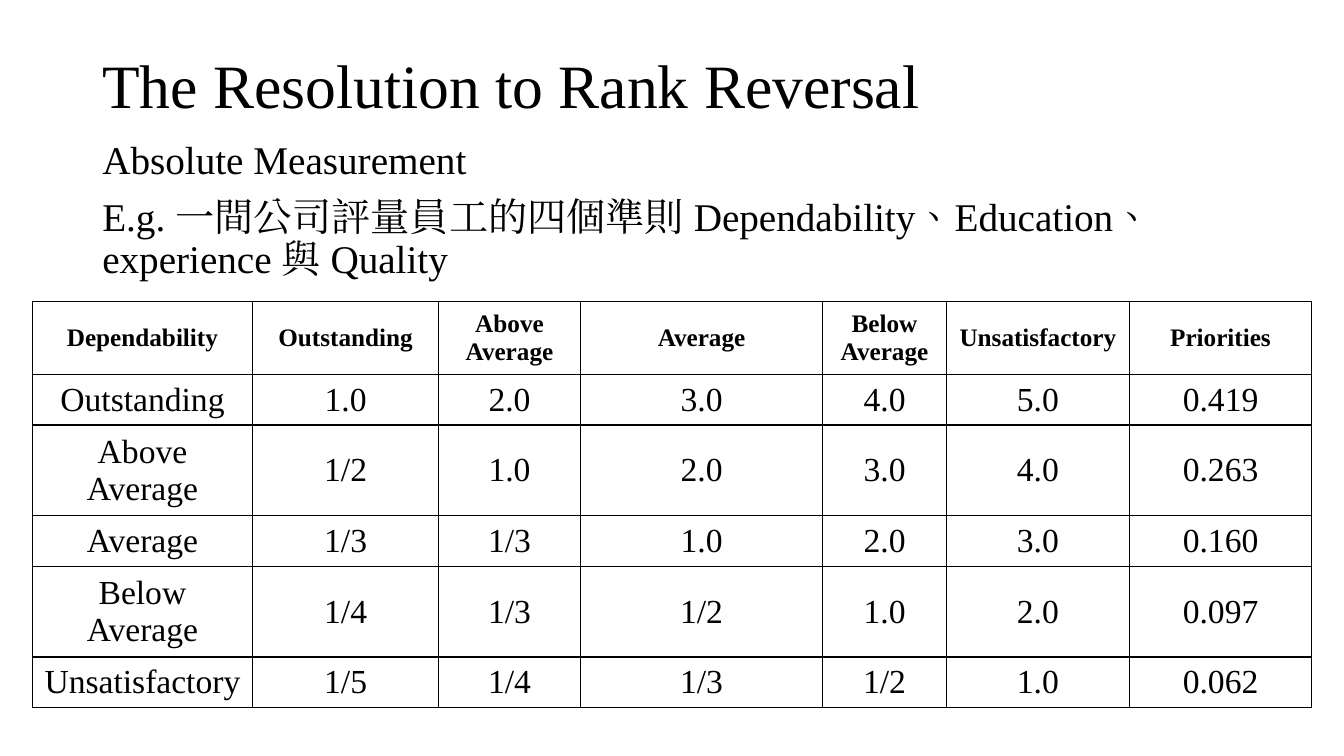
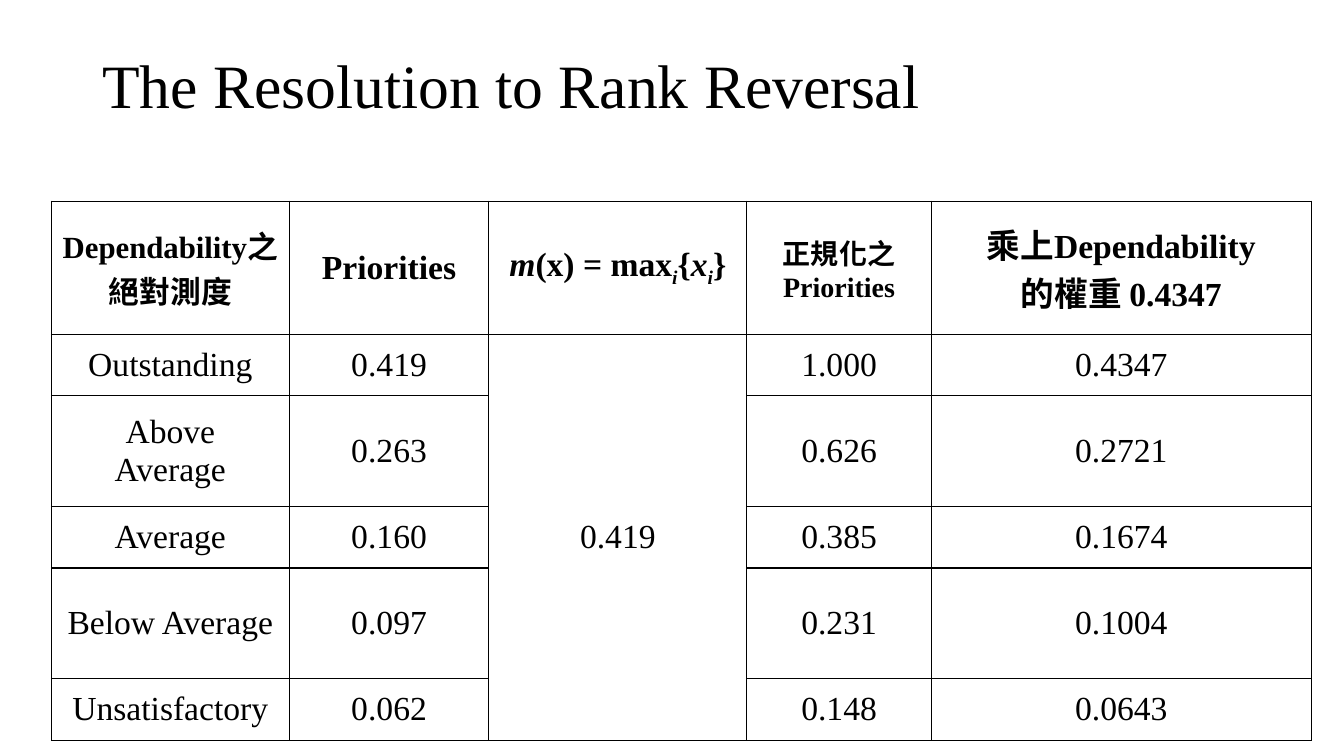
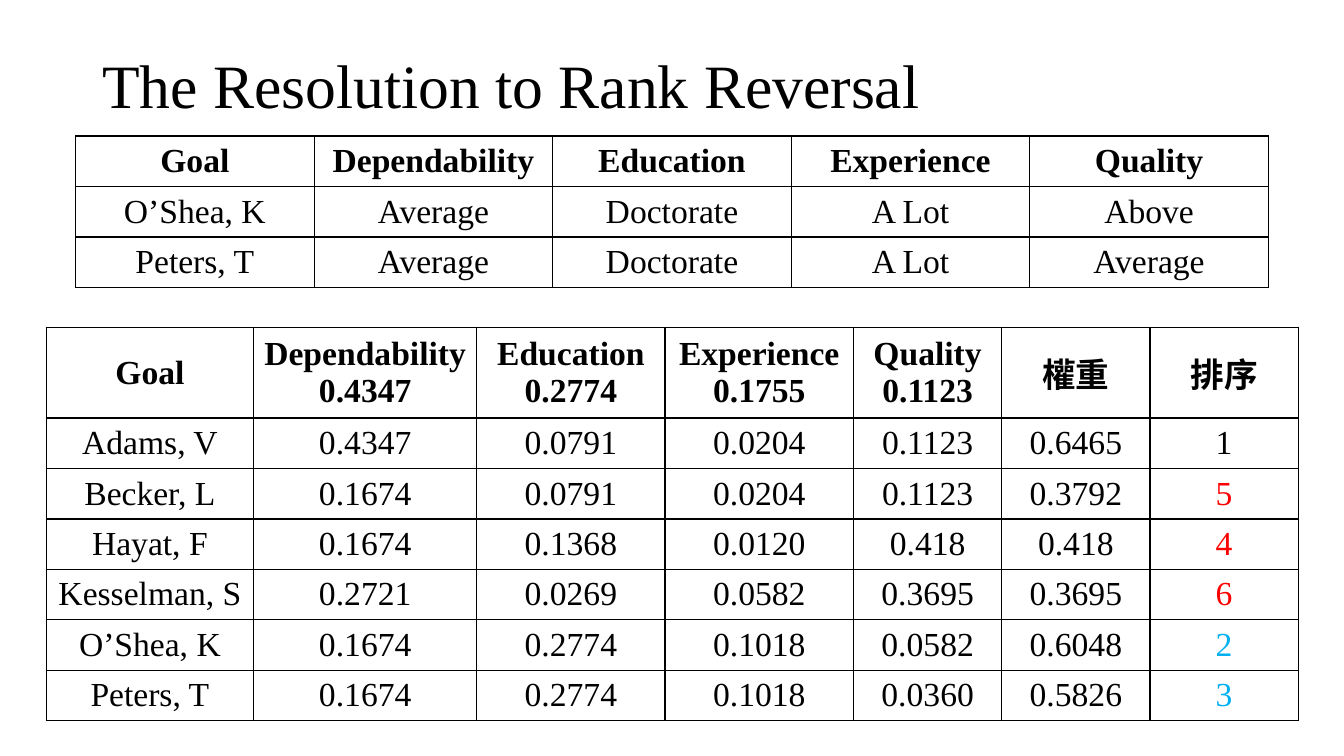
from dataclasses import dataclass, field

from lxml import etree
from pptx import Presentation
from pptx.dml.color import RGBColor
from pptx.enum import text
from pptx.oxml.ns import qn
from pptx.util import Pt

BLACK = RGBColor(0x00, 0x00, 0x00)
WHITE = RGBColor(0xFF, 0xFF, 0xFF)
RED = RGBColor(0xFF, 0x00, 0x00)
BLUE = RGBColor(0x00, 0xB0, 0xF0)
LATIN = "Times New Roman"
HAN = "Noto Sans CJK SC"
TITLE = "The Resolution to Rank Reversal"


@dataclass
class Span:
    text: str
    italic: bool = False
    baseline: int = 0


Content = str | list[Span]


@dataclass
class Grid:
    """A table: the first row is its header, sizes are in points."""
    left: float
    top: float
    cols: list[float]
    heights: list[float]
    rows: list[list[Content]]
    header_sizes: list[float]
    merges: list[tuple[int, int, int, int]] = field(default_factory=list)
    colors: dict[tuple[int, int], RGBColor] = field(default_factory=dict)


def write(tf, content: Content, *, size: float, bold: bool = False,
          color: RGBColor = BLACK, align=text.PP_ALIGN.LEFT,
          line: float | None = None, before: float = 0, han: str = HAN) -> None:
    """Fill a text frame; each line of a string becomes a paragraph."""
    paragraphs = ([[Span(s)] for s in content.split("\n")]
                  if isinstance(content, str) else [content])
    for i, spans in enumerate(paragraphs):
        p = tf.add_paragraph() if i else tf.paragraphs[0]
        p.alignment = align
        if line:
            p.line_spacing = line
        if i and before:
            p.space_before = Pt(before)
        for span in spans:
            r = p.add_run()
            r.text = span.text
            r.font.size, r.font.name = Pt(size), LATIN
            r.font.bold, r.font.italic = bold, span.italic
            r.font.color.rgb = color
            props = r.font._element
            props.set("lang", "zh-TW")
            if span.baseline:
                props.set("baseline", str(span.baseline * 1000))
            etree.SubElement(props, qn("a:ea"), typeface=han)


def add_text(slide, box: tuple[float, float, float, float], content: str,
             anchor=text.MSO_ANCHOR.TOP, **fmt) -> None:
    tf = slide.shapes.add_textbox(*map(Pt, box)).text_frame
    tf.word_wrap = True
    tf.vertical_anchor = anchor
    write(tf, content, **fmt)


def add_borders(cell, width: float = 1) -> None:
    props = cell._tc.get_or_add_tcPr()
    for i, tag in enumerate(("a:lnL", "a:lnR", "a:lnT", "a:lnB")):
        ln = etree.Element(qn(tag), w=str(Pt(width)))
        fill = etree.SubElement(ln, qn("a:solidFill"))
        etree.SubElement(fill, qn("a:srgbClr"), val=str(BLACK))
        props.insert(i, ln)


def add_grid(slide, grid: Grid) -> None:
    frame = slide.shapes.add_table(
        len(grid.rows), len(grid.cols), Pt(grid.left), Pt(grid.top),
        Pt(sum(grid.cols)), Pt(sum(grid.heights)))
    table = frame.table
    table.first_row = table.horz_banding = False
    for col, width in zip(table.columns, grid.cols):
        col.width = Pt(width)
    for row, height in zip(table.rows, grid.heights):
        row.height = Pt(height)
    for i, row in enumerate(grid.rows):
        for j, content in enumerate(row):
            cell = table.cell(i, j)
            cell.vertical_anchor = text.MSO_ANCHOR.MIDDLE
            cell.fill.solid()
            cell.fill.fore_color.rgb = WHITE
            add_borders(cell)
            if content:
                write(cell.text_frame, content,
                      size=24 if i else grid.header_sizes[j], bold=i == 0,
                      color=grid.colors.get((i, j), BLACK),
                      align=text.PP_ALIGN.CENTER)
    for top, left, bottom, right in grid.merges:
        table.cell(top, left).merge(table.cell(bottom, right))


def add_slide(prs, *grids: Grid):
    slide = prs.slides.add_slide(prs.slide_layouts[6])
    add_text(slide, (66, 28.8, 828, 68.4), TITLE, text.MSO_ANCHOR.MIDDLE,
             size=44, line=0.9)
    for grid in grids:
        add_grid(slide, grid)
    return slide


COMPARISON = Grid(
    23, 215.3, [157.6, 132.6, 101.6, 172.8, 88.6, 130.5, 130.5],
    [52.3, 34, 60, 34, 60, 34],
    [
        ["Dependability", "Outstanding", "Above\nAverage", "Average",
         "Below\nAverage", "Unsatisfactory", "Priorities"],
        ["Outstanding", "1.0", "2.0", "3.0", "4.0", "5.0", "0.419"],
        ["Above\nAverage", "1/2", "1.0", "2.0", "3.0", "4.0", "0.263"],
        ["Average", "1/3", "1/3", "1.0", "2.0", "3.0", "0.160"],
        ["Below Average", "1/4", "1/3", "1/2", "1.0", "2.0", "0.097"],
        ["Unsatisfactory", "1/5", "1/4", "1/3", "1/2", "1.0", "0.062"],
    ],
    [18] * 7)

MAXIMUM = [Span("m", True), Span("(x) = max"), Span("i", True, -25),
           Span("{"), Span("x", True), Span("i", True, -25), Span("}")]

NORMALIZED = Grid(
    36.7, 143.8, [169.9, 142.6, 184.3, 131.8, 271.4],
    [95, 44, 79, 44, 79, 44],
    [
        ["Dependability之\n絕對測度", "Priorities", MAXIMUM,
         "正規化之\nPriorities", "乘上Dependability\n的權重 0.4347"],
        ["Outstanding", "0.419", "0.419", "1.000", "0.4347"],
        ["Above\nAverage", "0.263", "", "0.626", "0.2721"],
        ["Average", "0.160", "", "0.385", "0.1674"],
        ["Below Average", "0.097", "", "0.231", "0.1004"],
        ["Unsatisfactory", "0.062", "", "0.148", "0.0643"],
    ],
    [22, 24, 24, 20, 24], merges=[(1, 2, 5, 2)])

RATINGS = Grid(
    54, 97.2, [170.4] * 5, [33.8] * 3,
    [
        ["Goal", "Dependability", "Education", "Experience", "Quality"],
        ["O’Shea, K", "Average", "Doctorate", "A Lot", "Above"],
        ["Peters, T", "Average", "Doctorate", "A Lot", "Average"],
    ],
    [24] * 5)

RANKING = Grid(
    33, 233.8, [148.2, 159.3, 134.6, 134.6, 105.9, 105.9, 105.9],
    [60] + [33.8] * 6,
    [
        ["Goal", "Dependability\n0.4347", "Education\n0.2774",
         "Experience\n0.1755", "Quality\n0.1123", "權重", "排序"],
        ["Adams, V", "0.4347", "0.0791", "0.0204", "0.1123", "0.6465", "1"],
        ["Becker, L", "0.1674", "0.0791", "0.0204", "0.1123", "0.3792", "5"],
        ["Hayat, F", "0.1674", "0.1368", "0.0120", "0.418", "0.418", "4"],
        ["Kesselman, S", "0.2721", "0.0269", "0.0582", "0.3695", "0.3695", "6"],
        ["O’Shea, K", "0.1674", "0.2774", "0.1018", "0.0582", "0.6048", "2"],
        ["Peters, T", "0.1674", "0.2774", "0.1018", "0.0360", "0.5826", "3"],
    ],
    [24] * 7,
    colors={(2, 6): RED, (3, 6): RED, (4, 6): RED, (5, 6): BLUE, (6, 6): BLUE})


def main() -> None:
    prs = Presentation()
    prs.slide_width, prs.slide_height = Pt(960), Pt(540)
    slide = add_slide(prs, COMPARISON)
    add_text(slide, (66, 97.2, 855.4, 115),
             "Absolute Measurement\nE.g. 一間公司評量員工的四個準則 "
             "Dependability、Education、experience 與 Quality",
             size=28, line=0.9, before=10, han=LATIN)
    add_slide(prs, NORMALIZED)
    add_slide(prs, RATINGS, RANKING)
    prs.save("out.pptx")


if __name__ == "__main__":
    main()
